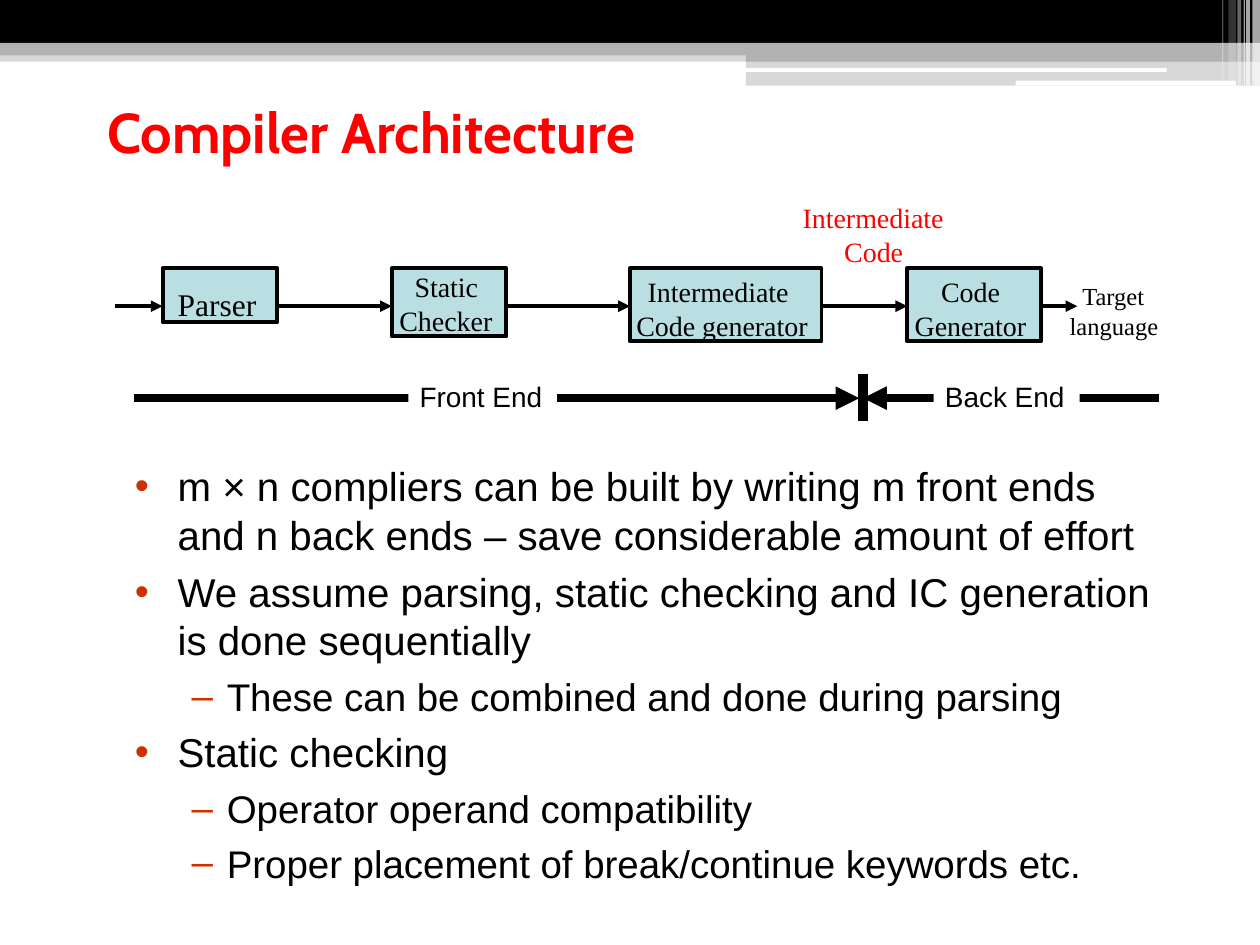
from dataclasses import dataclass

from lxml.etree import SubElement
from pptx import Presentation
from pptx.dml.color import RGBColor as RGB
from pptx.enum.shapes import MSO_CONNECTOR as Conn, MSO_SHAPE as Shape
from pptx.enum.text import MSO_ANCHOR as Anchor, MSO_AUTO_SIZE as AutoSize, PP_ALIGN as Align
from pptx.oxml.ns import qn
from pptx.util import Inches, Pt


@dataclass(frozen=True)
class Theme:
    black: str = "000000"
    white: str = "FFFFFF"
    grey: str = "B2B2B2"
    red: str = "FF0000"
    box: str = "BADFE2"
    bullet: str = "CD3100"
    title_font: str = "Cabin"
    box_font: str = "Times New Roman"
    body_font: str = "Arial"
    title_size: int = 32
    parser_size: int = 18
    label_size: int = 16
    target_size: int = 14
    body_sizes: tuple = (23, 22)


T = Theme()


@dataclass(frozen=True)
class Bar:
    left: float
    top: float
    width: float
    height: float
    color: str
    alpha: int = 100
    kind: Shape = Shape.RECTANGLE


@dataclass(frozen=True)
class Label:
    """Lines of text: the first one is indented relative to the margin."""
    lines: tuple
    left: float
    top: float
    width: float
    height: float
    margin: float = 0
    indent: float = 0
    inset: float = 0
    size: int = T.label_size
    color: str = T.black
    font: str = T.box_font
    spacing: object = 1.0


@dataclass(frozen=True)
class Arrow:
    start: float
    end: float
    y: float
    weight: float


BARS = (
    Bar(0, 0.4, 10, 0.09, T.grey, 50),
    Bar(0, 0, 10, 0.34, T.black),
    Bar(0, 0.34, 10, 0.1, T.grey),
    Bar(5.92, 0.39, 4.08, 0.1, T.grey),
    Bar(5.92, 0.48, 4.08, 0.2, T.grey, 50),
    Bar(5.91, 0.54, 3.35, 0.03, T.white, kind=Shape.ROUNDED_RECTANGLE),
    Bar(8.06, 0.64, 1.75, 0.04, T.white, kind=Shape.ROUNDED_RECTANGLE),
    Bar(9.94, 0, 0.06, 0.68, T.white, 65),
    Bar(9.89, 0, 0.03, 0.68, T.white, 65),
    Bar(9.87, 0, 0.01, 0.68, T.white, 60),
    Bar(9.82, 0, 0.03, 0.68, T.white, 40),
    Bar(9.75, 0, 0.06, 0.64, T.white, 20),
    Bar(9.7, 0, 0.01, 0.64, T.white, 30),
)
STAGES = (
    Label(("Parser",), 1.29, 2.13, 0.91, 0.43, 0.12, 0, 0.13, T.parser_size),
    Label(("Static", "Checker"), 3.11, 2.13, 0.91, 0.54, 0.06, 0.12, 0.01),
    Label(("Intermediate", "Code generator"), 5, 2.13, 1.52, 0.58, 0.05, 0.09, 0.05),
    Label(("Code", "Generator"), 7.2, 2.13, 1.06, 0.58, 0.06, 0.21, 0.05),
)
CAPTIONS = (
    Label(("Intermediate", "Code"), 6.36, 1.58, 1.18, 0.55, 0.34, -0.33, 0.01,
          color=T.red, spacing=Pt(19.5)),
    Label(("Target", "language"), 8.48, 2.23, 0.76, 0.47, 0.01, 0.1,
          size=T.target_size, spacing=1.01),
)
ENDS = (
    Label(("Front End",), 3.32, 3.01, 1.02, 0.27, 0.01, font=T.body_font),
    Label(("Back End",), 7.49, 3.01, 1, 0.27, 0.01, font=T.body_font),
)
FLOW_Y, SPAN_Y, DIVIDER_X = 2.43, 3.16, 6.85
SPANS = (Arrow(1.06, 6.82, SPAN_Y, 4.5), Arrow(9.2, DIVIDER_X, SPAN_Y, 4.5))
POINTS = (
    (0, "m × n compliers can be built by writing m front ends and n back ends"
        " – save considerable amount of effort"),
    (0, "We assume parsing, static checking and IC generation is done sequentially"),
    (1, "These can be combined and done during parsing"),
    (0, "Static checking"),
    (1, "Operator operand compatibility"),
    (1, "Proper placement of break/continue keywords etc."),
)
# Bullet character, margin and hanging indent of each level
LEVELS = (("•", 0.35, -0.34), ("–", 0.74, -0.28))


def add_box(s, left, top, width, height, color, alpha=100, kind=Shape.RECTANGLE):
    sp = s.shapes.add_shape(kind, Inches(left), Inches(top), Inches(width), Inches(height))
    sp.shadow.inherit = False
    sp.fill.solid()
    sp.fill.fore_color.rgb = RGB.from_string(color)
    sp.line.fill.background()
    if alpha < 100:
        clr = sp.fill._xPr.find(f".//{qn('a:srgbClr')}")
        SubElement(clr, qn("a:alpha"), val=str(alpha * 1000))
    return sp


def add_text_box(s, left, top, width, height):
    return s.shapes.add_textbox(Inches(left), Inches(top), Inches(width), Inches(height))


def set_frame(tf, top: float = 0, anchor=Anchor.TOP) -> None:
    tf.word_wrap = True
    tf.auto_size = AutoSize.NONE
    tf.vertical_anchor = anchor
    tf.margin_left = tf.margin_right = tf.margin_bottom = 0
    tf.margin_top = Inches(top)


def set_indent(p, margin: float, indent: float) -> None:
    p.alignment = Align.LEFT
    pPr = p._p.get_or_add_pPr()
    pPr.set("marL", str(Inches(margin)))
    pPr.set("indent", str(Inches(indent)))


def add_run(p, text: str, font: str, size: float, color: str, bold: bool = False) -> None:
    r = p.add_run()
    r.text = text
    r.font.name, r.font.size, r.font.bold = font, Pt(size), bold
    r.font.color.rgb = RGB.from_string(color)


def write_label(sp, label: Label) -> None:
    set_frame(sp.text_frame, label.inset)
    p = sp.text_frame.paragraphs[0]
    set_indent(p, label.margin, label.indent)
    p.line_spacing = label.spacing
    for i, line in enumerate(label.lines):
        if i:
            p.add_line_break()
        add_run(p, line, label.font, label.size, label.color)


def add_line(s, x1: float, y1: float, x2: float, y2: float, weight: float, head: bool) -> None:
    c = s.shapes.add_connector(Conn.STRAIGHT, Inches(x1), Inches(y1), Inches(x2), Inches(y2))
    c.line.color.rgb = RGB.from_string(T.black)
    c.line.width = Pt(weight)
    if head:
        SubElement(c.line._get_or_add_ln(), qn("a:tailEnd"), type="triangle")
    SubElement(c._element.spPr, qn("a:effectLst"))


def add_bullets(s) -> None:
    tf = add_text_box(s, 1.06, 3.66, 8.19, 3.38).text_frame
    set_frame(tf)
    for i, (level, text) in enumerate(POINTS):
        p = tf.add_paragraph() if i else tf.paragraphs[0]
        char, margin, indent = LEVELS[level]
        p.level = level
        set_indent(p, margin, indent)
        if i:
            p.space_before = Pt(5)
        else:
            p.line_spacing = Pt(27.9)
        pPr = p._p.get_or_add_pPr()
        SubElement(SubElement(pPr, qn("a:buClr")), qn("a:srgbClr"), val=T.bullet)
        SubElement(pPr, qn("a:buFont"), typeface=T.body_font)
        SubElement(pPr, qn("a:buChar"), char=char)
        add_run(p, text, T.body_font, T.body_sizes[level], T.black)


def main() -> None:
    prs = Presentation()
    prs.slide_width, prs.slide_height = Inches(10), Inches(7.5)
    s = prs.slides.add_slide(prs.slide_layouts[5])

    # Banner
    for b in BARS:
        add_box(s, b.left, b.top, b.width, b.height, b.color, b.alpha, b.kind)

    # Title
    title = s.shapes.title
    title.left, title.top, title.width, title.height = map(Inches, (0.84, 0.77, 8.33, 0.54))
    set_frame(title.text_frame, anchor=Anchor.MIDDLE)
    p = title.text_frame.paragraphs[0]
    set_indent(p, 0.01, 0)
    add_run(p, "Compiler Architecture", T.title_font, T.title_size, T.red, bold=True)

    # Compiler stages, with an arrow into each and one out of the last
    for st in STAGES:
        sp = add_box(s, st.left, st.top, st.width, st.height, T.box)
        sp.line.color.rgb = RGB.from_string(T.black)
        sp.line.width = Pt(2.25)
        write_label(sp, st)
    starts = [0.91] + [st.left + st.width for st in STAGES]
    ends = [st.left for st in STAGES] + [8.55]
    flow = [Arrow(a, b, FLOW_Y, 2.25) for a, b in zip(starts, ends)]

    # Flow arrows, front and back end spans, and the divider between them
    for a in (*flow, *SPANS):
        add_line(s, a.start, a.y, a.end, a.y, a.weight, head=True)
    add_line(s, DIVIDER_X, 2.97, DIVIDER_X, 3.34, 6, head=False)

    # Labels; those on the spans get a white gap in the line
    for e in ENDS:
        add_box(s, e.left - 0.08, e.top - 0.03, e.width + 0.16, 0.36, T.white)
    for label in (*CAPTIONS, *ENDS):
        write_label(add_text_box(s, label.left, label.top, label.width, label.height), label)

    add_bullets(s)
    prs.save("out.pptx")


if __name__ == "__main__":
    main()
